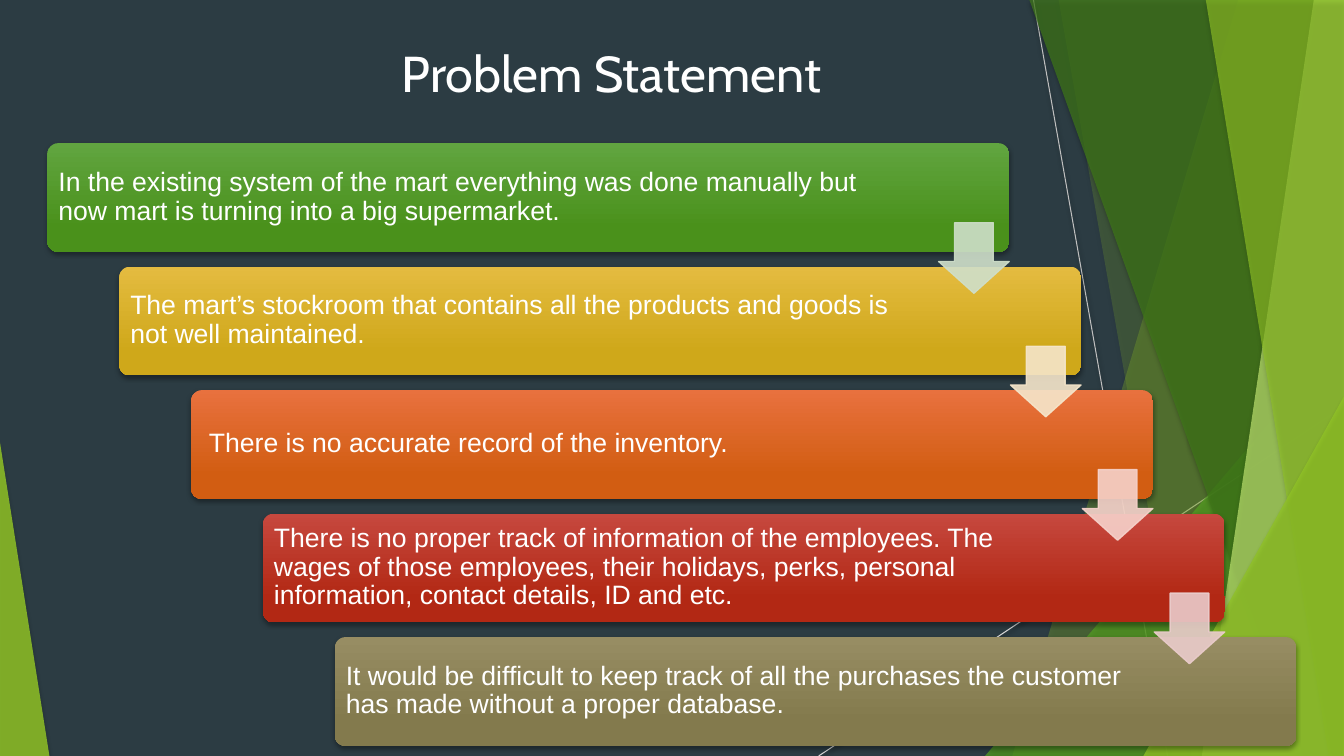
from dataclasses import dataclass

from lxml.etree import SubElement
from pptx import Presentation
from pptx.dml.color import RGBColor
from pptx.enum.shapes import MSO_CONNECTOR as Connector, MSO_SHAPE as Shape
from pptx.enum.text import MSO_ANCHOR as Anchor, MSO_AUTO_SIZE as AutoSize, PP_ALIGN as Align
from pptx.oxml.ns import qn
from pptx.util import Inches, Pt

COLORS = {
    "background": "2C3C43", "text": "FFFFFF", "shadow": "000000",
    "lime": "90C226", "green": "54A021", "forest": "3F7818", "pale_lime": "BFE471",
    "steep_line": "BFBFBF", "shallow_line": "D8D8D8",
}
WIDTH, HEIGHT = 13.33, 7.5

# Staircase geometry
STEPS_DOWN = 4
BAR_LEFT, BAR_TOP, BAR_WIDTH, BAR_HEIGHT = 0.47, 1.42, 9.54, 1.08
STEP_X, STEP_Y = (3.32 - BAR_LEFT) / STEPS_DOWN, (6.32 - BAR_TOP) / STEPS_DOWN
TEXT_OFFSET, TEXT_HEIGHT, TEXT_INSET = 0.03, 1.01, 0.08
ARROW_LEFT, ARROW_TOP, ARROW_SIZE = 9.31, 2.21, 0.7


@dataclass
class Ray:
    start: tuple[float, float]
    end: tuple[float, float]
    color: str


@dataclass
class Facet:
    corners: list[tuple[float, float]]
    color: str
    opacity: int


@dataclass
class Wedge:
    left: float
    top: float
    width: float
    color: str
    opacity: int
    apex: float = 1


@dataclass
class Problem:
    text: str
    light: str
    dark: str
    arrow: str | None = None
    text_width: float = 8.07


RAYS = [
    Ray((10.25, 0), (11.58, HEIGHT), "steep_line"),
    Ray((WIDTH, 4.03), (8.12, HEIGHT), "shallow_line"),
]


def facet(top_x: float, bottom_x: float, color: str, opacity: int) -> Facet:
    """A full-height panel from a slanted left edge to the slide's right edge."""
    return Facet([(top_x, 0), (WIDTH, 0), (WIDTH, HEIGHT), (bottom_x, HEIGHT)], color, opacity)


BACKDROP = [
    facet(12.28, 10.04, "lime", 30),
    facet(10.5, 11.82, "lime", 20),
    Wedge(9.77, 3.33, 3.56, "green", 72),
    facet(10.21, 12.91, "forest", 70),
    facet(13.03, 11.92, "pale_lime", 70),
    facet(11.96, 13.18, "lime", 65),
    Wedge(11.34, 3.93, 1.99, "lime", 80),
    Wedge(0, 4.39, 0.49, "lime", 85, apex=0),
]

PROBLEMS = [
    Problem("In the existing system of the mart everything was done manually but now mart "
            "is turning into a big supermarket.", "61A540", "4A911B", "CFDFCA", 8.26),
    Problem("The mart’s stockroom that contains all the products and goods is not well "
            "maintained.", "E4BB40", "CFA81A", "F5E6CB"),
    Problem(" There is no accurate record of the inventory.", "E8713E", "D25D12", "F6D2CB"),
    Problem("There is no proper track of information of the employees. The wages of those "
            "employees, their holidays, perks, personal information, contact details, ID "
            "and etc.", "C6483E", "B22814", "EACCCB"),
    Problem("It would be difficult to keep track of all the purchases the customer has made "
            "without a proper database.", "978D63", "837A4D"),
]


def rgb(color: str) -> RGBColor:
    return RGBColor.from_string(COLORS.get(color, color))


def box(*lengths: float) -> list[int]:
    return [Inches(length) for length in lengths]


def set_opacity(item, percent: int) -> None:
    for color in item._element.spPr.iter(qn("a:srgbClr")):
        SubElement(color, qn("a:alpha"), val=str(percent * 1000))


def add_shadow(item, percent: int = 35, blur: float = 3, distance: float = 2) -> None:
    properties = item._element.spPr
    effects = properties.find(qn("a:effectLst"))
    if effects is None:
        effects = SubElement(properties, qn("a:effectLst"))
    shadow = SubElement(effects, qn("a:outerShdw"), blurRad=str(Pt(blur)), dist=str(Pt(distance)),
                        dir="5400000", algn="ctr", rotWithShape="0")
    color = SubElement(shadow, qn("a:srgbClr"), val=COLORS["shadow"])
    SubElement(color, qn("a:alpha"), val=str(percent * 1000))


def draw_ray(shapes, ray: Ray) -> None:
    line = shapes.add_connector(Connector.STRAIGHT, *box(*ray.start, *ray.end))
    line.line.color.rgb = rgb(ray.color)
    line.line.width = Pt(0.75)
    add_shadow(line, 38, 3.1, 1.6)


def draw_backdrop_part(shapes, part: Facet | Wedge) -> None:
    if isinstance(part, Facet):
        first, *others = [box(*corner) for corner in part.corners]
        builder = shapes.build_freeform(*first)
        builder.add_line_segments(others, close=True)
        panel = builder.convert_to_shape()
    else:
        panel = shapes.add_shape(Shape.ISOSCELES_TRIANGLE, *box(
            part.left, part.top, part.width, HEIGHT - part.top))
        panel.adjustments[0] = part.apex
    panel.shadow.inherit = False
    panel.fill.solid()
    panel.fill.fore_color.rgb = rgb(part.color)
    panel.line.fill.background()
    set_opacity(panel, part.opacity)
    add_shadow(panel)


def write(paragraph, text: str, font: str, size: int) -> None:
    run = paragraph.add_run()
    run.text = text
    run.font.name, run.font.size = font, Pt(size)
    run.font.color.rgb = rgb("text")


def draw_problem(shapes, problem: Problem, step: int) -> None:
    left, top = BAR_LEFT + step * STEP_X, BAR_TOP + step * STEP_Y
    bar = shapes.add_shape(Shape.ROUNDED_RECTANGLE, *box(left, top, BAR_WIDTH, BAR_HEIGHT))
    bar.adjustments[0] = 0.1
    bar.shadow.inherit = False
    bar.fill.gradient()
    bar.fill.gradient_angle = 270
    stops = zip(bar.fill.gradient_stops, (problem.light, problem.dark), (0, 0.78))
    for stop, color, position in stops:
        stop.color.rgb, stop.position = rgb(color), position
    bar.line.fill.background()
    add_shadow(bar)

    statement = shapes.add_textbox(*box(
        left + TEXT_OFFSET, top + TEXT_OFFSET, problem.text_width, TEXT_HEIGHT)).text_frame
    statement.word_wrap = True
    statement.vertical_anchor = Anchor.MIDDLE
    statement.margin_left = statement.margin_right = Inches(TEXT_INSET)
    statement.margin_top = statement.margin_bottom = Inches(TEXT_INSET)
    statement.paragraphs[0].line_spacing = 0.9
    write(statement.paragraphs[0], problem.text, "Arial", 19)


def draw_arrow(shapes, color: str, step: int) -> None:
    arrow = shapes.add_shape(Shape.DOWN_ARROW, *box(
        ARROW_LEFT + step * STEP_X, ARROW_TOP + step * STEP_Y, ARROW_SIZE, ARROW_SIZE))
    arrow.adjustments[0], arrow.adjustments[1] = 0.55, 0.45
    arrow.shadow.inherit = False
    arrow.fill.solid()
    arrow.fill.fore_color.rgb = arrow.line.color.rgb = rgb(color)
    arrow.line.width = Pt(1)
    set_opacity(arrow, 90)


def main() -> None:
    deck = Presentation()
    deck.slide_width, deck.slide_height = box(WIDTH, HEIGHT)
    slide = deck.slides.add_slide(deck.slide_layouts[5])
    slide.background.fill.solid()
    slide.background.fill.fore_color.rgb = rgb("background")
    shapes = slide.shapes

    # Faceted backdrop
    for ray in RAYS:
        draw_ray(shapes, ray)
    for part in BACKDROP:
        draw_backdrop_part(shapes, part)

    # Title, brought in front of the backdrop
    title = shapes.title
    shapes._spTree.append(title._element)
    title.left, title.top, title.width, title.height = box(1.42, 0.37, 9.4, 1.44)
    title.text_frame.auto_size = AutoSize.NONE
    title.text_frame.vertical_anchor = Anchor.TOP
    title.text_frame.paragraphs[0].alignment = Align.CENTER
    write(title.text_frame.paragraphs[0], "Problem Statement ", "Cabin", 36)

    # Staircase of problems, then the arrows over the bars
    for step, problem in enumerate(PROBLEMS):
        draw_problem(shapes, problem, step)
    for step, problem in enumerate(PROBLEMS[:STEPS_DOWN]):
        draw_arrow(shapes, problem.arrow, step)

    deck.save("out.pptx")


if __name__ == "__main__":
    main()
